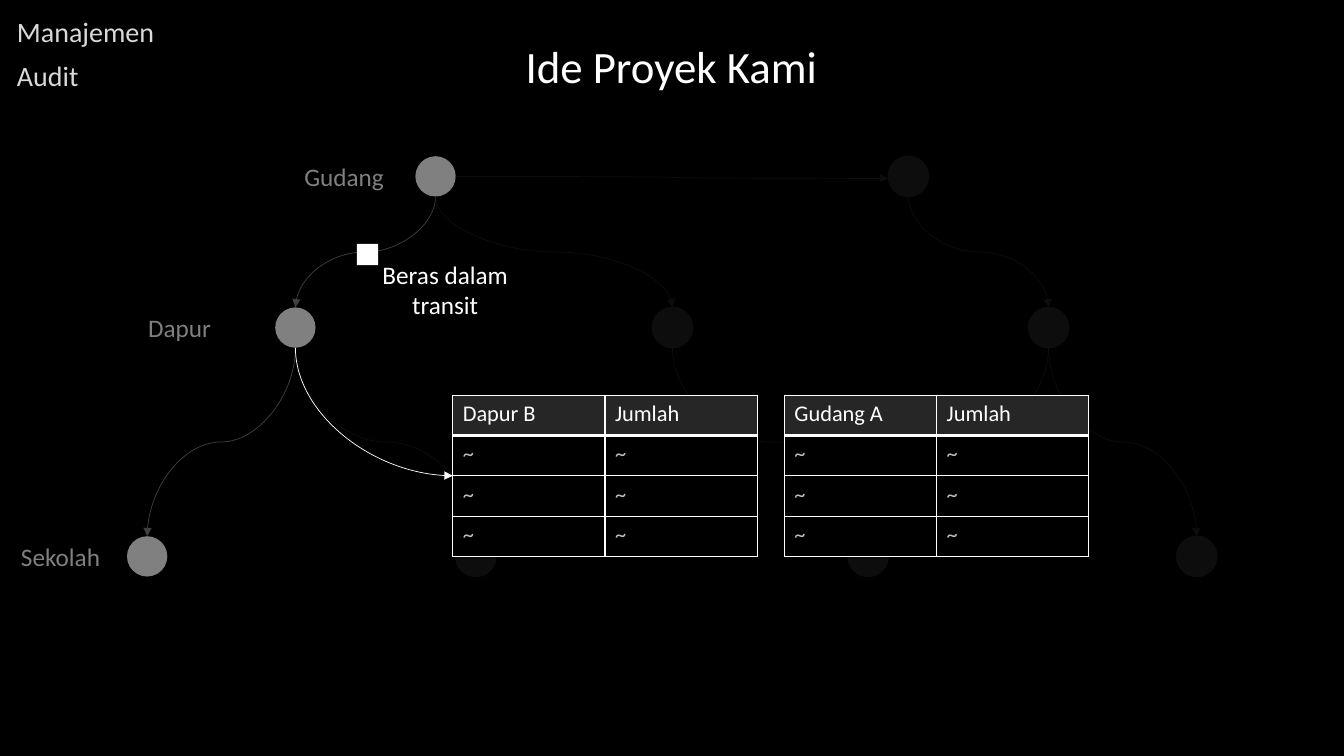
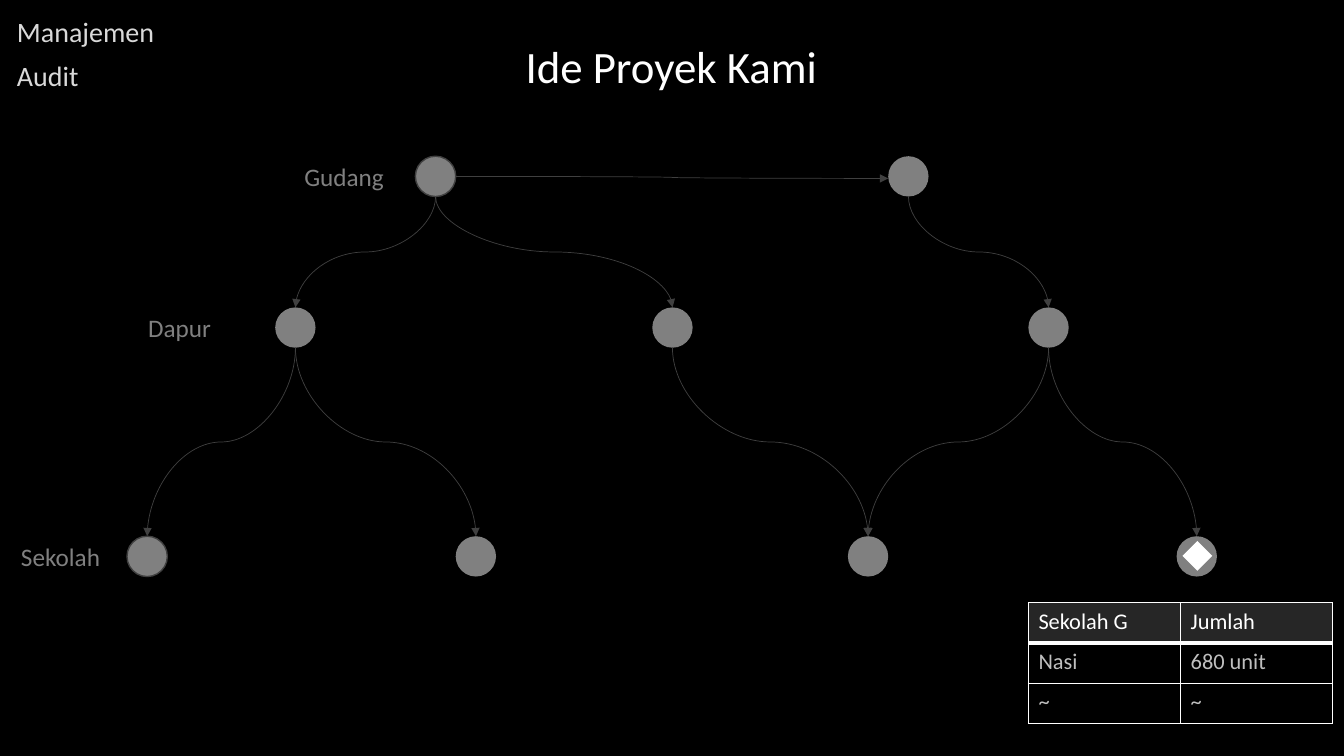
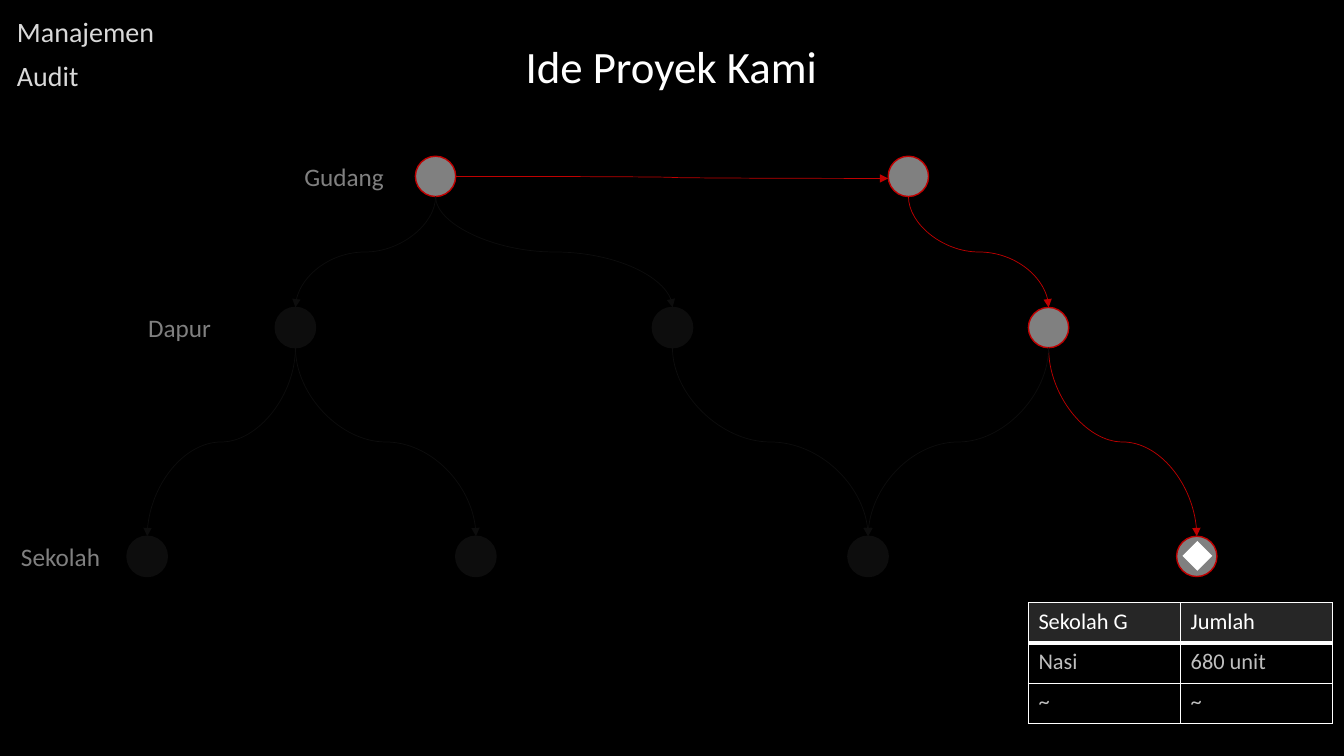
from pptx import Presentation
from pptx.dml.color import RGBColor as RGB
from pptx.enum.shapes import MSO_CONNECTOR as LINK, MSO_SHAPE as SHAPE
from pptx.enum.text import MSO_ANCHOR as ANCHOR, MSO_AUTO_SIZE as AUTO, PP_ALIGN as ALIGN
from pptx.oxml.ns import qn
from pptx.util import Pt
from lxml.etree import SubElement as Sub

PX = 9144  # 100 px to the inch
FONT = "Calibri"
HEX = {
    "black": "000000", "white": "FFFFFF", "dim": "0D0D0D", "head": "262626",
    "edge": "404040", "node": "808080", "cell": "BFBFBF", "menu": "D9D9D9",
    "red": "C00000",
}

# Content
TITLE = "Ide Proyek Kami"
MENU = [("Audit", (7, 53, 159, 44)), ("Manajemen", (7, 9, 200, 44))]
TIERS = [
    ("Gudang", (292, 155, 100, 40)),
    ("Dapur", (137, 305, 83, 40)),
    ("Sekolah", (11, 532, 99, 40)),
]
SIZE = 40
NODES = {  # centres
    "G1": (432, 175), "G2": (901, 175),
    "D2": (667, 325), "D3": (1040, 325), "D1": (293, 325),
    "S3": (861, 552), "S2": (472, 552), "S1": (146, 552), "S4": (1187, 552),
}
EDGES = [
    ("G1", "D1"), ("G1", "D2"), ("G1", "G2"), ("G2", "D3"), ("D3", "S4"),
    ("D3", "S3"), ("D2", "S3"), ("D1", "S2"), ("D1", "S1"),
]
BLANK = ("~", "~")
STOCK = ((1020, 598), [("Sekolah G", "Jumlah"), ("Nasi", "680 unit"), BLANK])
GOODS = (1177, 541, 21, 21)
PAGES = [
    {"lit": {"G1", "D1", "S1"}, "ring": {}, "edge": "edge",
     "note": ("Beras dalam transit", (352, 252, 179, 71)),
     "mark": ((354, 242, 21, 21), 0),
     "grids": [((778, 392), [("Gudang A", "Jumlah")] + [BLANK] * 3),
               ((449, 392), [("Dapur B", "Jumlah")] + [BLANK] * 3)],
     "flow": ((293, 345), (449, 472))},
    {"lit": set(NODES), "ring": {"G1": "edge", "S1": "edge"}, "edge": "edge",
     "mark": (GOODS, 45), "grids": [STOCK]},
    {"lit": {"G1", "G2", "D3", "S4"},
     "ring": {k: "red" for k in ("G1", "G2", "D3", "S4")}, "edge": "red",
     "mark": (GOODS, 45), "grids": [STOCK]},
]


def emu(vals):
    return [round(v * PX) for v in vals]


def tint(name):
    return RGB.from_string(HEX[name])


def write(frame, text, size=18, color="white", align=ALIGN.LEFT):
    para = frame.paragraphs[0]
    para.alignment = align
    run = para.add_run()
    run.text = text
    run.font.name, run.font.size = FONT, Pt(size)
    run.font.color.rgb = tint(color)


def label(slide, text, box, wrap=True, **fmt):
    frame = slide.shapes.add_textbox(*emu(box)).text_frame
    frame.word_wrap = wrap
    frame.auto_size = AUTO.SHAPE_TO_FIT_TEXT
    write(frame, text, **fmt)


def solid(slide, kind, box, fill, ring=None, turn=0):
    shape = slide.shapes.add_shape(kind, *emu(box))
    shape.shadow.inherit = False
    shape.rotation = turn
    shape.fill.solid()
    shape.fill.fore_color.rgb = tint(fill)
    if ring:
        shape.line.color.rgb = tint(ring)
        shape.line.width = Pt(1)
    else:
        shape.line.fill.background()


def curve(slide, start, end, color, down=True, bend=3):
    (x1, y1), (x2, y2) = start, end
    box = (x1, y1, x2, y2)
    if down:  # lay the box on its side, then turn it about its centre
        mx, my = (x1 + x2) / 2, (y1 + y2) / 2
        dx, dy = abs(x2 - x1) / 2, (y2 - y1) / 2
        box = (mx - dy, my - dx, mx + dy, my + dx)
    line = slide.shapes.add_connector(LINK.CURVE, *emu(box))
    line.line.color.rgb = tint(color)
    line.line.width = Pt(0.5)
    props = line._element.spPr
    if down:
        form = props.find(qn("a:xfrm"))
        form.set("rot", str((270 if x2 > x1 else 90) * 60000))
        if x2 > x1:
            form.set("flipH", "1")
    props.find(qn("a:prstGeom")).set("prst", f"curvedConnector{bend}")
    Sub(props.find(qn("a:ln")), qn("a:tailEnd"), type="triangle")
    Sub(props, qn("a:effectLst"))


def border(cell, row):
    props = cell._tc.get_or_add_tcPr()
    thick = {0: "B", 1: "T"}.get(row)
    for side in "LRTB":
        width = Pt(3 if side == thick else 1)
        line = Sub(props, qn(f"a:ln{side}"), w=str(width))
        Sub(Sub(line, qn("a:solidFill")), qn("a:srgbClr"), val=HEX["white"])


def grid(slide, spot, rows):
    box = (*spot, 302, 40 * len(rows))
    table = slide.shapes.add_table(len(rows), 2, *emu(box)).table
    for r, row in enumerate(rows):
        for c, text in enumerate(row):
            cell = table.cell(r, c)
            border(cell, r)
            cell.fill.solid()
            cell.fill.fore_color.rgb = tint("black" if r else "head")
            write(cell.text_frame, text, size=16, color="cell" if r else "white")


def network(slide, page):
    lit, half = page["lit"], SIZE / 2
    for key, (x, y) in NODES.items():
        on = key in lit
        solid(slide, SHAPE.FLOWCHART_CONNECTOR, (x - half, y - half, SIZE, SIZE),
              "node" if on else "dim", page["ring"].get(key) if on else "dim")
    for a, b in EDGES:
        (x1, y1), (x2, y2) = NODES[a], NODES[b]
        color = page["edge"] if {a, b} <= lit else "dim"
        if y1 == y2:
            curve(slide, (x1 + half, y1), (x2 - half, y2 + 2), color, down=False)
        else:
            curve(slide, (x1, y1 + half), (x2, y2 - half), color)


def build(deck, layout, page):
    slide = deck.slides.add_slide(layout)
    title = slide.shapes.title.text_frame
    title.vertical_anchor = ANCHOR.MIDDLE
    write(title, TITLE, size=32, align=ALIGN.CENTER)
    for text, box in MENU:
        label(slide, text, box, size=20, color="menu")
    network(slide, page)
    for text, box in TIERS:
        label(slide, text, box, wrap=False, color="node")
    if "note" in page:
        label(slide, *page["note"], align=ALIGN.CENTER)
    box, turn = page["mark"]
    solid(slide, SHAPE.RECTANGLE, box, "white", turn=turn)
    for spot, rows in page["grids"]:
        grid(slide, spot, rows)
    if "flow" in page:
        curve(slide, *page["flow"], "white", bend=2)


def main():
    deck = Presentation()
    deck.slide_width, deck.slide_height = emu((1333, 750))
    # Shared background and title place
    back = deck.slide_master.background.fill
    back.solid()
    back.fore_color.rgb = tint("black")
    layout = deck.slide_layouts.get_by_name("Title Only")
    head = layout.placeholders[0]
    head.left, head.top, head.width, head.height = emu((293, 33, 746, 64))
    for page in PAGES:
        build(deck, layout, page)
    deck.save("out.pptx")


if __name__ == "__main__":
    main()
